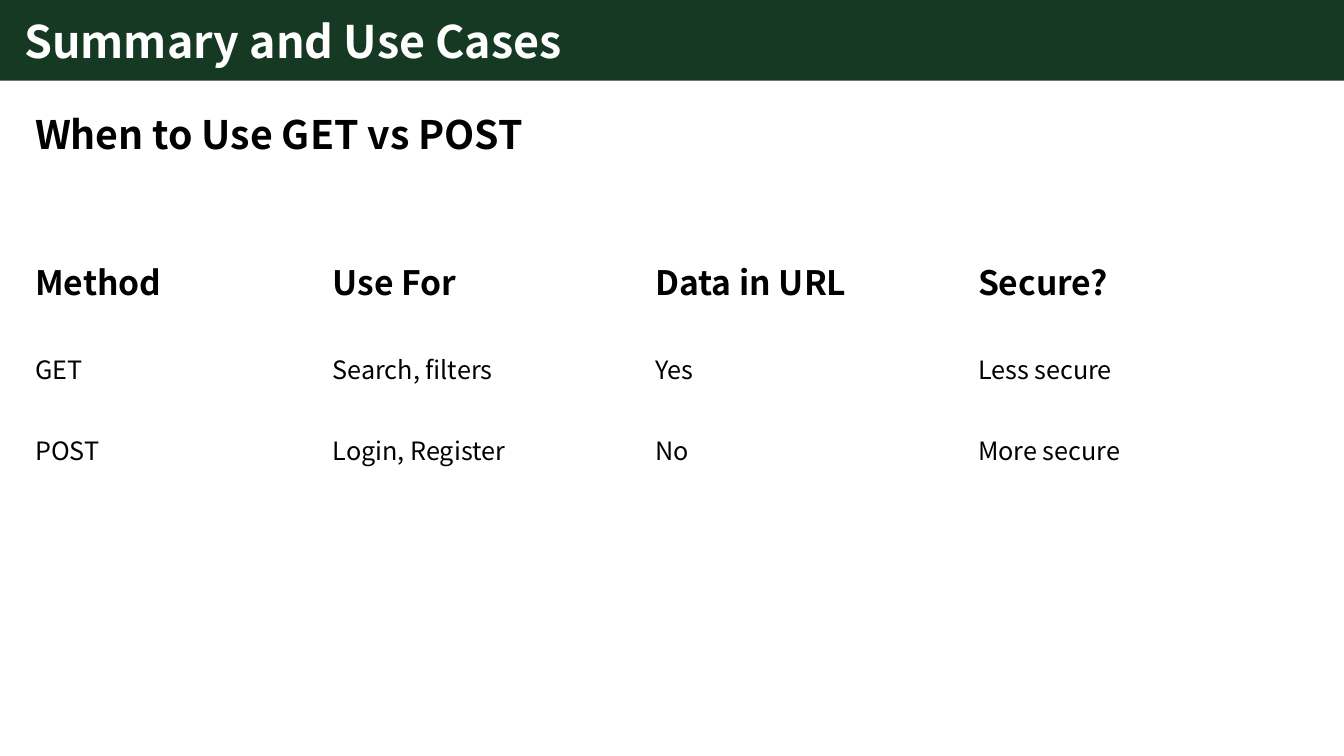
import pptx
import pptx.dml.color
import pptx.enum.shapes
import pptx.enum.text
import pptx.util

WIDTH, HEIGHT = 13.33, 7.5
FONT = "Noto Sans CJK JP"
GREEN, WHITE, BLACK = "163923", "FFFFFF", "000000"
LEFT_MARGIN = 0.25
COLUMN_WIDTHS = [2.95, 3.2, 3.2, 3.2]
ROW_HEIGHTS = [1.01, 0.8, 0.8]
METHODS = [
    ["Method", "Use For", "Data in URL", "Secure?"],
    ["GET", "Search, filters", "Yes", "Less secure"],
    ["POST", "Login, Register", "No", "More secure"],
]


def color(hex_value):
    return pptx.dml.color.RGBColor.from_string(hex_value)


def inches(*lengths):
    return [pptx.util.Inches(length) for length in lengths]


def write(paragraph, text, size, hex_value=BLACK, bold=True, line_spacing=1.0):
    paragraph.alignment = pptx.enum.text.PP_ALIGN.LEFT
    paragraph.line_spacing = line_spacing
    run = paragraph.add_run()
    run.text = text
    run.font.name = FONT
    run.font.size = pptx.util.Pt(size)
    run.font.bold = bold
    run.font.color.rgb = color(hex_value)


def add_title_bar(slide, text):
    """Place the title placeholder over a full-width bar."""
    bar = slide.shapes.add_shape(
        pptx.enum.shapes.MSO_SHAPE.RECTANGLE, *inches(0, 0, WIDTH, 0.8))
    bar.shadow.inherit = False
    bar.fill.solid()
    bar.fill.fore_color.rgb = color(GREEN)
    bar.line.fill.background()

    title = slide.shapes.title
    title.element.addprevious(bar.element)
    title.left, title.top, title.width, title.height = inches(
        0.14, 0.08, 12.82, 0.64)
    frame = title.text_frame
    frame.word_wrap = True
    frame.auto_size = pptx.enum.text.MSO_AUTO_SIZE.SHAPE_TO_FIT_TEXT
    frame.vertical_anchor = pptx.enum.text.MSO_ANCHOR.MIDDLE
    write(frame.paragraphs[0], text, 32, WHITE)


def add_heading(slide, text):
    box = slide.shapes.add_textbox(*inches(LEFT_MARGIN, 1.1, 11.73, 0.61))
    box.text_frame.word_wrap = True
    paragraph = box.text_frame.paragraphs[0]
    paragraph.space_before = pptx.util.Pt(10)
    write(paragraph, text, 28, line_spacing=0.9)


def add_method_table(slide):
    table = slide.shapes.add_table(
        len(ROW_HEIGHTS), len(COLUMN_WIDTHS),
        *inches(LEFT_MARGIN, 2.16, sum(COLUMN_WIDTHS), sum(ROW_HEIGHTS))).table
    table.first_row = table.horz_banding = False
    for column, width in zip(table.columns, inches(*COLUMN_WIDTHS)):
        column.width = width
    for row, height in zip(table.rows, inches(*ROW_HEIGHTS)):
        row.height = height
    for row_index, texts in enumerate(METHODS):
        is_header = row_index == 0
        for column_index, text in enumerate(texts):
            cell = table.cell(row_index, column_index)
            cell.fill.background()
            cell.vertical_anchor = pptx.enum.text.MSO_ANCHOR.MIDDLE
            write(cell.text_frame.paragraphs[0], text, 24 if is_header else 18,
                  bold=is_header, line_spacing=1.5)


def main():
    presentation = pptx.Presentation()
    presentation.slide_width, presentation.slide_height = inches(WIDTH, HEIGHT)
    title_only = presentation.slide_layouts.get_by_name("Title Only")
    slide = presentation.slides.add_slide(title_only)
    add_title_bar(slide, "Summary and Use Cases")
    add_heading(slide, "When to Use GET vs POST")
    add_method_table(slide)
    presentation.save("out.pptx")


if __name__ == "__main__":
    main()
